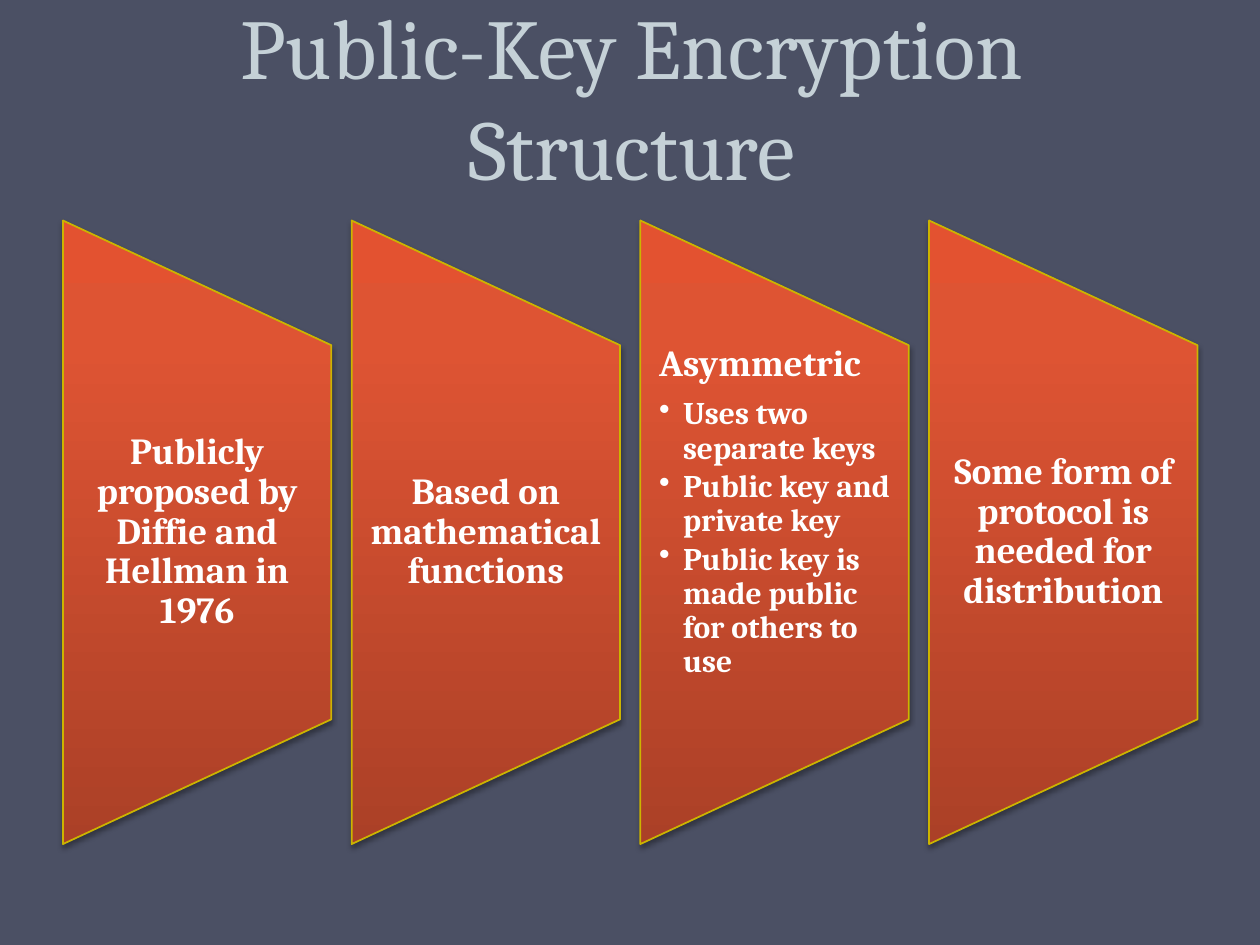
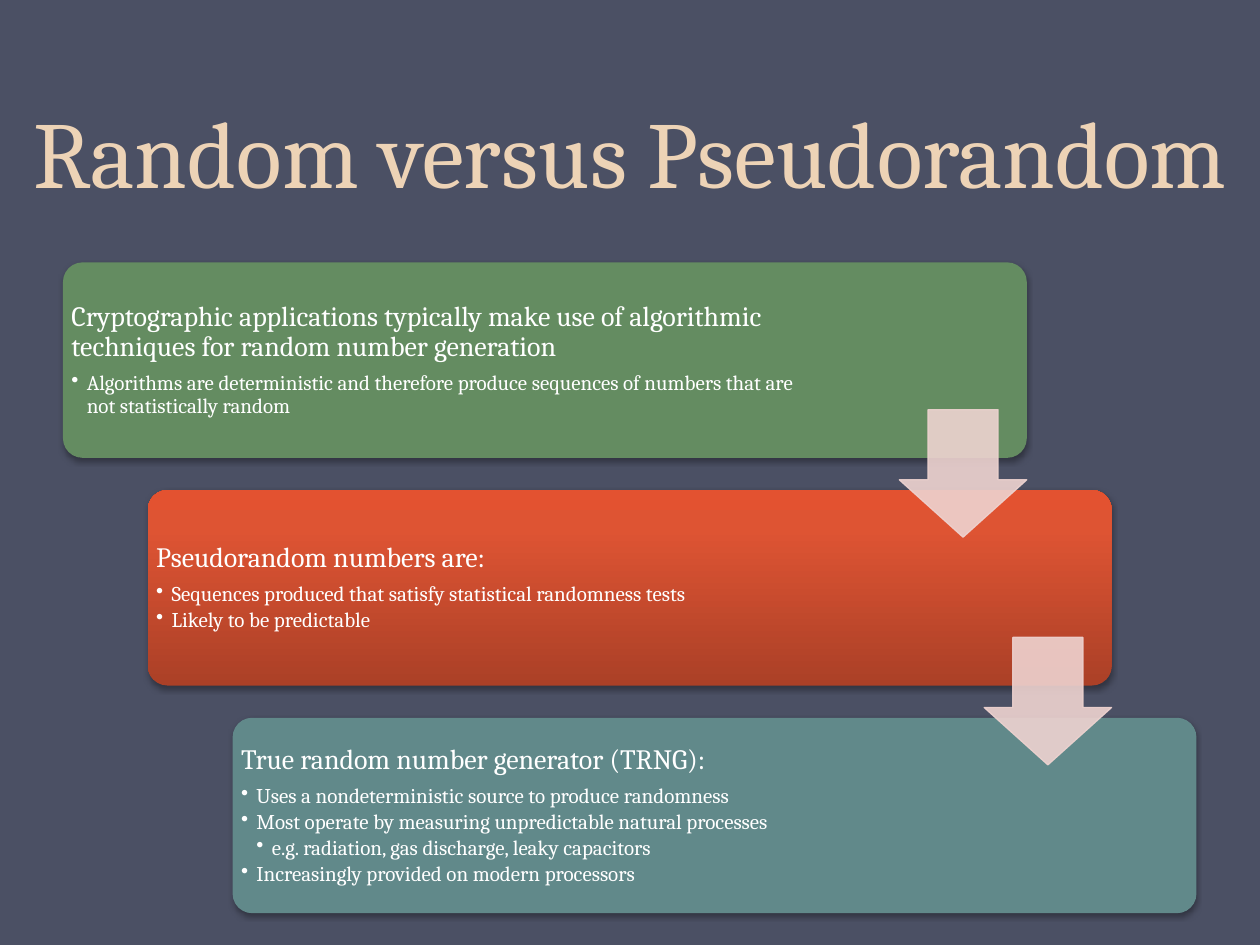
import pptx
import pptx.util
import pptx.dml.color
import pptx.enum.dml
import pptx.enum.shapes
import pptx.enum.text
import pptx.oxml
import pptx.oxml.ns
from dataclasses import dataclass

Cm = pptx.util.Cm
Pt = pptx.util.Pt
Shape = pptx.enum.shapes.MSO_SHAPE
Align = pptx.enum.text.PP_ALIGN
Anchor = pptx.enum.text.MSO_ANCHOR
NAMESPACE = pptx.oxml.ns.nsdecls("a")


@dataclass(frozen=True)
class Theme:
    font: str = "Cambria"
    background: str = "4B5064"
    text: str = "FFFFFF"
    title_grey: str = "C5D1D7"
    title_sand: str = "EDD3B6"
    gold: str = "CCB400"
    green: str = "648C61"
    teal: str = "61898A"
    arrow: str = "EED3D0"
    ember: tuple = ((0, "AB4027"), (80, "DE5433"), (100, "E35230"))
    title_spacing: float = 58
    panel_sizes: tuple = (21, 18)
    step_sizes: tuple = (16, 12)


def rgb(color):
    return pptx.dml.color.RGBColor.from_string(color)


def element(markup):
    """Parse one drawing element, adding the namespace to its first tag."""
    name, rest = markup[1:].split(" ", 1)
    return pptx.oxml.parse_xml(f"<{name} {NAMESPACE} {rest}")


def apply(target, values):
    for name, value in values.items():
        setattr(target, name, value)


class SlideBuilder:
    """Holds the style and the slide being built."""

    def __init__(self, deck, theme):
        self.deck = deck
        self.theme = theme
        self.page = None
        self.diagram = None
        fill = deck.slide_master.background.fill
        fill.solid()
        fill.fore_color.rgb = rgb(theme.background)

    def start(self):
        self.page = self.deck.slides.add_slide(self.deck.slide_layouts[5])

    def start_diagram(self):
        self.diagram = self.page.shapes.add_group_shape()

    def span(self, para, words, size, color, bold=False):
        span = para.add_run()
        span.text = words
        apply(span.font, {"name": self.theme.font, "size": Pt(size), "bold": bold})
        span.font.color.rgb = rgb(color)
        return span

    def title(self, words, area, size, color, outline=None):
        box = self.page.shapes.title
        apply(box, dict(zip(("left", "top", "width", "height"), map(Cm, area))))
        apply(box.text_frame, {
            "vertical_anchor": Anchor.BOTTOM, "word_wrap": True,
            "auto_size": pptx.enum.text.MSO_AUTO_SIZE.NONE})
        para = box.text_frame.paragraphs[0]
        apply(para, {"alignment": Align.CENTER,
                     "line_spacing": Pt(self.theme.title_spacing)})
        span = self.span(para, words, size, color)
        if outline:
            line = element(f'<a:ln w="{Pt(0.75)}"><a:solidFill>'
                           f'<a:srgbClr val="{outline}"/></a:solidFill></a:ln>')
            span.font._element.insert(0, line)

    def shape(self, kind, area, fill, line=None, line_width=1, opacity=None,
              shadow=True, adjustments=(), rotation=0):
        shape = self.diagram.shapes.add_shape(kind, *map(Cm, area))
        shape.rotation = rotation
        for index, value in enumerate(adjustments):
            shape.adjustments[index] = value
        # Fill: a plain colour or a vertical gradient
        if isinstance(fill, str):
            shape.fill.solid()
            shape.fill.fore_color.rgb = rgb(fill)
        else:
            stops = "".join(f'<a:gs pos="{place * 1000}"><a:srgbClr val="{color}"/></a:gs>'
                            for place, color in fill)
            gradient = element(f'<a:gradFill rotWithShape="0"><a:gsLst>{stops}</a:gsLst>'
                               '<a:lin ang="16200000" scaled="0"/></a:gradFill>')
            shape._element.spPr.find(pptx.oxml.ns.qn("a:prstGeom")).addnext(gradient)
        # Line
        if line:
            shape.line.color.rgb = rgb(line)
            shape.line.width = Pt(line_width)
        else:
            shape.line.fill.background()
        if opacity:
            for color in shape._element.spPr.iter(pptx.oxml.ns.qn("a:srgbClr")):
                color.append(element(f'<a:alpha val="{opacity * 1000}"/>'))
        # Shadow
        shape.shadow.inherit = False
        if shadow:
            effects = shape._element.spPr.find(pptx.oxml.ns.qn("a:effectLst"))
            effects.append(element(
                f'<a:outerShdw blurRad="{Pt(3.1)}" dist="{Pt(1.8)}" dir="5400000" '
                'rotWithShape="0"><a:srgbClr val="000000"><a:alpha val="35000"/>'
                '</a:srgbClr></a:outerShdw>'))

    def text(self, area, heading, items, sizes, insets, indent,
             bold=False, alignment=Align.LEFT, anchor=Anchor.MIDDLE):
        """Write a heading and its bullets; items are (level, words)."""
        box = self.diagram.shapes.add_textbox(*map(Cm, area))
        frame = box.text_frame
        side, edge = map(Cm, insets)
        apply(frame, {"word_wrap": True, "vertical_anchor": anchor,
                      "margin_left": side, "margin_right": side,
                      "margin_top": edge, "margin_bottom": edge})
        for index, (level, words) in enumerate([(0, heading), *items]):
            para = frame.add_paragraph() if index else frame.paragraphs[0]
            apply(para, {"level": level, "alignment": alignment, "line_spacing": 0.9})
            properties = para._p.get_or_add_pPr()
            after = 15 if level else 35
            properties.append(element(
                f'<a:spcAft ><a:spcPct val="{after * 1000}"/></a:spcAft>'))
            if level:
                properties.set("marL", str(Cm(indent * level)))
                properties.set("indent", str(-Cm(indent)))
                properties.append(element('<a:buChar char="•"/>'))
            self.span(para, words, sizes[min(level, 1)], self.theme.text, bold)


def build_structure(builder):
    theme = builder.theme
    builder.start()
    builder.title("Public-Key Encryption Structure", (1.3, 0.53, 22.86, 3.58),
                  48.6, theme.title_grey, theme.gold)
    builder.start_diagram()
    panels = [
        ("Publicly proposed by Diffie and Hellman in 1976", []),
        ("Based on mathematical functions", []),
        ("Asymmetric", ["Uses two separate keys", "Public key and private key",
                        "Public key is made public for others to use"]),
        ("Some form of protocol is needed for distribution", []),
    ]
    left, pitch, width, length, middle = 1.27, 5.82, 5.41, 12.57, 10.73
    text_height = 7.54
    for index, (heading, points) in enumerate(panels):
        x = left + index * pitch
        # The shape lies on its side, so length and width trade places
        builder.shape(Shape.FLOWCHART_MANUAL_OPERATION,
                      (x + (width - length) / 2, middle - width / 2, length, width),
                      theme.ember, line=theme.gold, rotation=270)
        builder.text((x, middle - text_height / 2, width, text_height), heading,
                     [(1, point) for point in points], theme.panel_sizes,
                     insets=(0.38, 0), indent=0.48, bold=True,
                     alignment=Align.LEFT if points else Align.CENTER,
                     anchor=Anchor.TOP if points else Anchor.MIDDLE)


def build_randomness(builder):
    theme = builder.theme
    builder.start()
    builder.title("Random versus Pseudorandom", (0, 1.12, 25.4, 3.18),
                  54, theme.title_sand)
    builder.start_diagram()
    steps = [
        (theme.green, 15.42,
         "Cryptographic applications typically make use of algorithmic "
         "techniques for random number generation",
         [(1, "Algorithms are deterministic and therefore produce sequences of "
              "numbers that are not statistically random")]),
        (theme.ember, 15.16, "Pseudorandom numbers are:",
         [(1, "Sequences produced that satisfy statistical randomness tests"),
          (1, "Likely to be predictable")]),
        (theme.teal, 15.16, "True random number generator (TRNG):",
         [(1, "Uses a nondeterministic source to produce randomness"),
          (1, "Most operate by measuring unpredictable natural processes"),
          (2, "e.g. radiation, gas discharge, leaky capacitors"),
          (1, "Increasingly provided on modern processors")]),
    ]
    width, height, arrow_size, arrow_drop = 19.43, 3.94, 2.57, 2.97
    corners = [(1.27 + 1.71 * index, 5.29 + 4.59 * index) for index in range(len(steps))]
    for (x, y), (fill, text_width, heading, items) in zip(corners, steps):
        builder.shape(Shape.ROUNDED_RECTANGLE, (x, y, width, height), fill,
                      adjustments=(0.1,))
        builder.text((x, y, text_width, height), heading, items, theme.step_sizes,
                     insets=(0.17, 0.17), indent=0.31)
    # Arrows from each step to the next
    for x, y in corners[:-1]:
        builder.shape(Shape.DOWN_ARROW,
                      (x + width - arrow_size, y + arrow_drop, arrow_size, arrow_size),
                      theme.arrow, line=theme.arrow, line_width=0.75, opacity=90,
                      shadow=False, adjustments=(0.55, 0.45))


def main():
    deck = pptx.Presentation()
    deck.slide_width, deck.slide_height = Cm(25.4), Cm(19.05)
    builder = SlideBuilder(deck, Theme())
    build_structure(builder)
    build_randomness(builder)
    deck.save("out.pptx")


if __name__ == "__main__":
    main()
